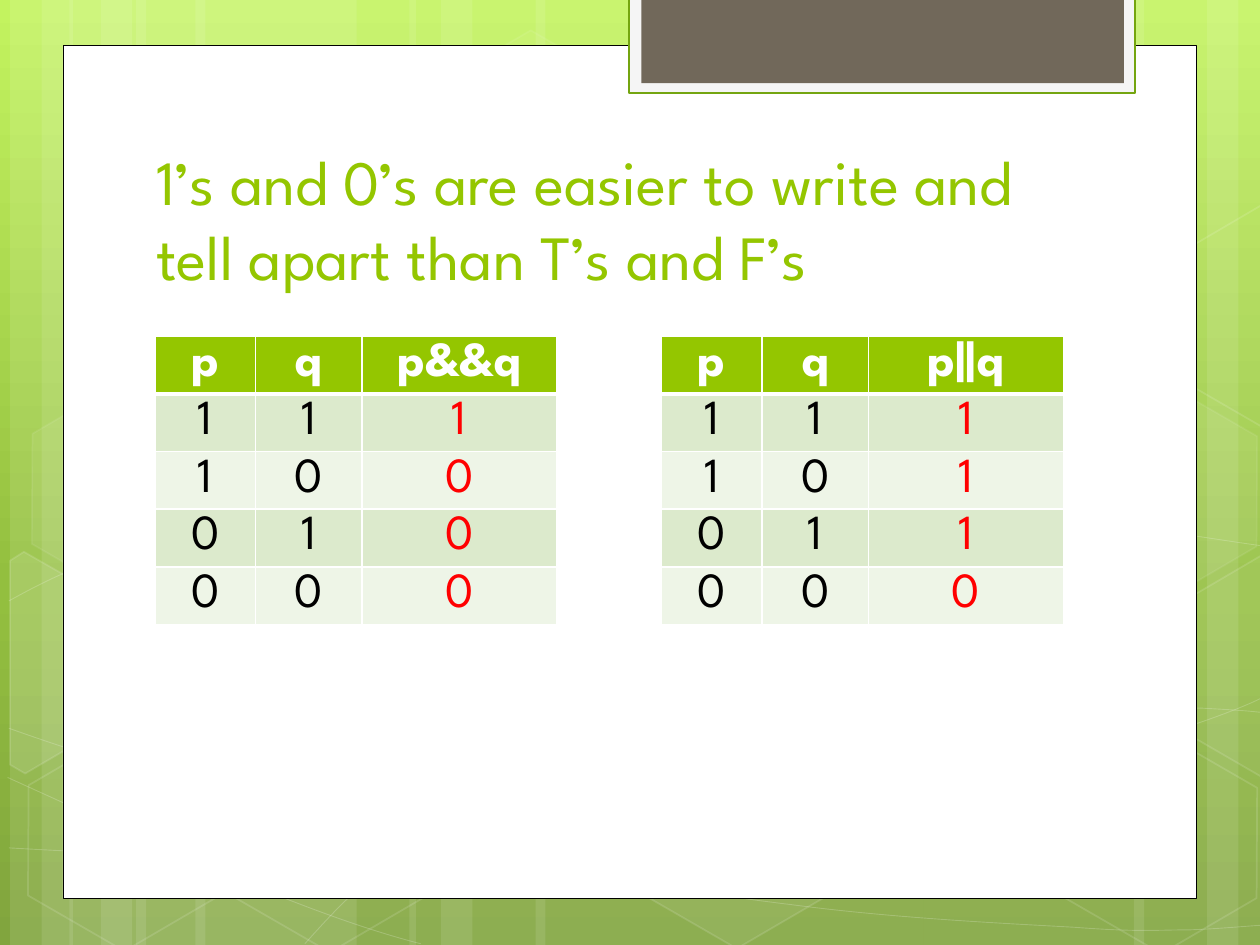
import collections

import lxml.etree
import pptx
import pptx.dml.color
import pptx.enum.shapes
import pptx.enum.text
import pptx.oxml.ns
import pptx.util

Box = collections.namedtuple("Box", "left top width height")
COLUMNS, ROWS = 10, 7.5
FONT = "League Spartan"
COLORS = {
    "sky": "C3F35F", "leaf": "93BF3F", "moss": "81A53E", "white": "FFFFFF",
    "black": "000000", "green": "94C600", "edge": "74A510", "mist": "F5F5F5",
    "brown": "71685A", "band": "DCEACC", "pale": "EEF5E7", "red": "FF0000",
}
SHAPES = pptx.enum.shapes.MSO_SHAPE
qn = pptx.oxml.ns.qn

STRIPES = [
    (1.08, 1.75), (0.08, 0.5), (0.33, 0.83), (1.55, 1.75), (0.55, 0.5), (0.8, 0.83),
    (7.33, 1.75), (9.58, 0.5), (9, 0.83), (4.25, 3.08), (3.25, 0.5), (3.5, 0.83),
]
WAVES = [
    [(0.07, 6.73), (0.61, 6.76, 1.15, 6.79, 1.9, 6.78), (2.65, 6.77, 3.58, 6.75, 4.58, 6.65),
     (5.58, 6.55, 7, 6.36, 7.92, 6.17), (8.83, 5.98, 9.77, 5.68, 10.07, 5.51)],
    [(0.07, 4.77), (0.36, 4.61, 0.65, 4.46, 1.21, 4.31), (1.78, 4.16, 2.59, 3.94, 3.47, 3.87),
     (4.36, 3.8, 5.44, 3.79, 6.54, 3.87), (7.64, 3.95, 9.47, 4.26, 10.07, 4.34)],
    [(0.06, 6.17), (1.27, 6.72, 2.47, 7.27, 3.34, 7.49)],
    [(0.07, 5.78), (0.38, 5.89, 0.7, 6, 1.28, 6.16), (1.86, 6.31, 2.73, 6.56, 3.57, 6.73),
     (4.4, 6.9, 5.45, 7.08, 6.28, 7.18), (7.11, 7.29, 8, 7.33, 8.53, 7.36),
     (9.05, 7.4, 9.19, 7.38, 9.45, 7.38), (9.71, 7.37, 9.89, 7.35, 10.07, 7.34)],
    [(2.42, 7.49), (2.6, 7.29, 2.78, 7.09, 3.02, 6.91), (3.26, 6.73, 3.6, 6.53, 3.88, 6.39),
     (4.16, 6.25, 4.33, 6.19, 4.7, 6.09), (5.06, 5.99, 5.73, 5.85, 6.08, 5.78),
     (6.44, 5.71, 6.49, 5.71, 6.8, 5.69), (7.11, 5.66, 7.6, 5.63, 7.94, 5.62),
     (8.29, 5.61, 8.86, 5.62, 8.86, 5.62), (9.53, 5.62),
     (9.71, 5.63, 9.88, 5.64, 9.97, 5.65), (10.06, 5.66, 10.03, 5.65, 10.06, 5.66)],
]
HEXAGONS = [
    (3.34, 0.36, 4, 8), (4.97, 5.89, 6, 12), (0.11, 5.91, 0, 12),
    (0.14, 3.12, 7, 8), (1.74, 5.92, 0, 12), (7.53, 4.53, 10, 12),
    (8.34, 5.93, 0, 12), (8.34, 3.14, 7, 8),
]
CUT_HEXAGONS = [
    (10, [(0.08, 4.45), (0.19, 4.38), (0.96, 4.82), (0.95, 5.7), (0.2, 6.14), (0.08, 6.07)]),
    (4, [(9.26, 4.85), (10.01, 4.41), (10.09, 4.46), (10.09, 6.13), (10.02, 6.17), (9.26, 5.73)]),
    (0, [(9.26, 2.07), (10.01, 1.63), (10.1, 1.68), (10.09, 3.35), (10.02, 3.39), (9.26, 2.95)]),
]


def color(name):
    return pptx.dml.color.RGBColor.from_string(COLORS[name])


def place(box, column, row, columns, rows):
    across, down = box.width / COLUMNS, box.height / ROWS
    return Box(round(box.left + column * across), round(box.top + row * down),
               round(columns * across), round(rows * down))


def paint(fill, name, alpha=100):
    if not alpha:
        fill.background()
        return
    fill.solid()
    fill.fore_color.rgb = color(name)


def fade(holder, alpha):
    if 0 < alpha < 100:
        tone = holder.find(qn("a:solidFill")).find(qn("a:srgbClr"))
        lxml.etree.SubElement(tone, qn("a:alpha"), val=str(alpha * 1000))


def style(shape, fill="white", alpha=100, line=None, width=1, line_alpha=100):
    shape.shadow.inherit = False
    paint(shape.fill, fill, alpha)
    fade(shape.element.spPr, alpha)
    paint(shape.line.fill, line, line_alpha if line else 0)
    if line:
        shape.line.width = pptx.util.Pt(width)
        fade(shape.element.spPr.find(qn("a:ln")), line_alpha)


def write(frame, text, size, tone, bold=False, align="LEFT"):
    para = frame.paragraphs[0]
    para.alignment = getattr(pptx.enum.text.PP_ALIGN, align)
    span = para.add_run()
    span.text = text
    span.font.name = FONT
    span.font.size = pptx.util.Pt(size)
    span.font.bold = bold
    span.font.color.rgb = color(tone)


def add_outline(page, box, points, close):
    spots = [place(box, x, y, 0, 0)[:2] for x, y in points]
    builder = page.shapes.build_freeform(*spots[0])
    builder.add_line_segments(spots[1:], close=close)
    return builder.convert_to_shape()


def add_wave(page, box, wave):
    curve = add_outline(page, box, [bend[-2:] for bend in wave], False)
    segments = list(curve.element.iter(qn("a:lnTo")))
    for segment, bend in zip(segments, wave[1:]):
        if len(bend) == 2:
            continue
        segment.tag = qn("a:cubicBezTo")
        for index in (0, 1):
            x, y = place(box, *bend[2 * index:2 * index + 2], 0, 0)[:2]
            handle = lxml.etree.Element(qn("a:pt"), x=str(x - curve.left), y=str(y - curve.top))
            segment.insert(index, handle)
    style(curve, alpha=0, line="white", width=0.5, line_alpha=20)


def add_background(page):
    fill = page.background.fill
    fill.gradient()
    fill.gradient_angle = 270
    stops = page.element.find(".//" + qn("a:gsLst"))
    for stop in list(stops):
        stops.remove(stop)
    for position, name in ((0, "sky"), (62, "leaf"), (100, "moss")):
        stop = lxml.etree.SubElement(stops, qn("a:gs"), pos=str(position * 1000))
        lxml.etree.SubElement(stop, qn("a:srgbClr"), val=COLORS[name])


def add_pattern(page, box):
    for column, columns in STRIPES:
        stripe = page.shapes.add_shape(SHAPES.RECTANGLE, *place(box, column, 0, columns, ROWS))
        style(stripe, alpha=10)
    for wave in WAVES:
        add_wave(page, box, wave)
    for column, row, alpha, line_alpha in HEXAGONS:
        hexagon = page.shapes.add_shape(SHAPES.HEXAGON, *place(box, column, row, 1.75, 1.52))
        hexagon.adjustments[0] = 0.285
        hexagon.rotation = 30
        style(hexagon, alpha=alpha, line="white", line_alpha=line_alpha)
    for alpha, corners in CUT_HEXAGONS:
        style(add_outline(page, box, corners, True), alpha=alpha, line="white", line_alpha=12)


def add_panel(page, box):
    for area, fill, line, width in (
        ((0.5, 0.36, 9, 6.77), "white", "black", 0.5),
        ((4.99, -0.02, 4.02, 0.76), "mist", "edge", 1.25),
        ((5.09, -0.02, 3.83, 0.68), "brown", None, 0),
    ):
        panel = page.shapes.add_shape(SHAPES.RECTANGLE, *place(box, *area))
        style(panel, fill, line=line, width=width)


def add_title(page, box, text):
    title = page.shapes.title
    title.element.getparent().append(title.element)
    title.left, title.top, title.width, title.height = box
    frame = title.text_frame
    frame.word_wrap = True
    frame.auto_size = pptx.enum.text.MSO_AUTO_SIZE.NONE
    frame.vertical_anchor = pptx.enum.text.MSO_ANCHOR.BOTTOM
    write(frame, text, 36, "green")


def add_borders(cell, widths):
    properties = cell._tc.get_or_add_tcPr()
    for index, (side, width) in enumerate(zip("LRTB", widths)):
        line = lxml.etree.Element(qn("a:ln" + side), w=str(pptx.util.Pt(width)))
        fill = lxml.etree.SubElement(line, qn("a:solidFill"))
        lxml.etree.SubElement(fill, qn("a:srgbClr"), val=COLORS["white"])
        properties.insert(index, line)


def add_truth_table(page, box, operator, results):
    inputs = [("1", "1"), ("1", "0"), ("0", "1"), ("0", "0")]
    lines = [("p", "q", operator)] + [pair + (result,) for pair, result in zip(inputs, results)]
    table = page.shapes.add_table(len(lines), 3, *box).table
    for column, share in zip(table.columns, (0.25, 0.265, 0.485)):
        column.width = round(box.width * share)
    for row, line in enumerate(lines):
        for column, text in enumerate(line):
            cell = table.cell(row, column)
            header = row == 0
            paint(cell.fill, "green" if header else ("pale", "band")[row % 2])
            add_borders(cell, (1, 1, 3 if row == 1 else 1, 3 if header else 1))
            tone = "white" if header else "red" if column == 2 else "black"
            write(cell.text_frame, text, 28, tone, bold=header, align="CENTER")


def main():
    deck = pptx.Presentation()
    deck.slide_width = pptx.util.Inches(COLUMNS)
    deck.slide_height = pptx.util.Inches(ROWS)
    page = deck.slides.add_slide(deck.slide_layouts[5])
    box = Box(0, 0, deck.slide_width, deck.slide_height)
    add_background(page)
    add_pattern(page, box)
    add_panel(page, box)
    add_title(page, place(box, 1.14, 1.13, 7.68, 1.25),
              "1’s and 0’s are easier to write and tell apart than T’s and F’s")
    for column, operator, results in ((1.23, "p&&q", "1000"), (5.25, "p||q", "1110")):
        add_truth_table(page, place(box, column, 2.67, 3.19, 2.05), operator, results)
    deck.save("out.pptx")


if __name__ == "__main__":
    main()
